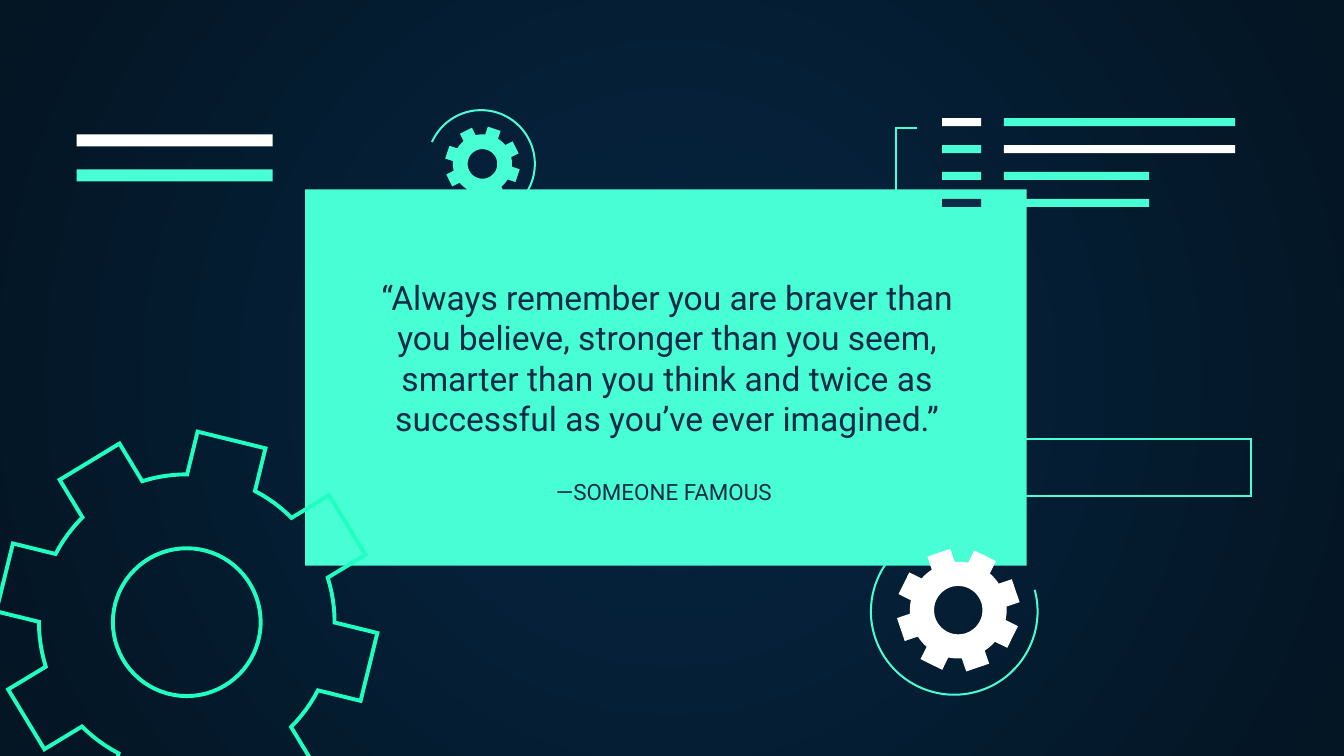
from dataclasses import dataclass
from math import asin, cos, pi, radians, sin

from lxml.etree import SubElement
from pptx import Presentation
from pptx.dml.color import RGBColor
from pptx.enum.shapes import MSO_SHAPE as Preset
from pptx.enum.text import MSO_ANCHOR as Anchor, PP_ALIGN as Align
from pptx.oxml.ns import qn
from pptx.util import Inches, Pt

Point = tuple[float, float]


@dataclass(frozen=True)
class Theme:
    mint: str = "48FFD5"
    green: str = "1EFFC1"
    white: str = "FFFFFF"
    navy: str = "0E2A47"
    glow: str = "052643"
    night: str = "041523"
    font: str = "Roboto"
    quote_size: float = 18
    author_size: float = 12
    thin: float = 1.09
    thick: float = 2.1


@dataclass(frozen=True)
class Bar:
    left: float
    top: float
    width: float
    height: float
    color: str


@dataclass(frozen=True)
class Arc:
    center: Point
    radius: float
    start: float
    end: float


@dataclass(frozen=True)
class Gear:
    center: Point
    tip: float
    root: float
    hole: float
    half_tooth: float
    phase: float
    fill: str | None = None
    line: str | None = None


@dataclass(frozen=True)
class Caption:
    left: float
    top: float
    width: float
    height: float
    words: str
    size: float
    anchor: Anchor


THEME = Theme()
TEETH = 8
CARD = Bar(2.27, 1.41, 5.37, 2.8, THEME.mint)
ARCS = [Arc((3.58, 1.22), 0.4, 204, 457), Arc((7.1, 4.55), 0.62, -15, 233)]
GEARS = [
    Gear((1.39, 4.63), 1.42, 1.1, 0.55, 0.26, 13.8, line=THEME.green),
    Gear((7.13, 4.54), 0.46, 0.36, 0.18, 0.09, 26.3, fill=THEME.white),
    Gear((3.59, 1.22), 0.28, 0.22, 0.11, 0.05, 18.5, fill=THEME.mint),
]
# Marker colour, line colour and line length of each row of the code list
CODE_ROWS = [
    (THEME.white, THEME.mint, 1.72),
    (THEME.mint, THEME.white, 1.72),
    (THEME.mint, THEME.mint, 1.08),
    (THEME.navy, THEME.mint, 1.08),
]
CODE_TOP, CODE_STEP = 0.88, 0.2
HEADING_BARS = [
    Bar(0.57, 1, 1.46, 0.09, THEME.white),
    Bar(0.57, 1.26, 1.46, 0.09, THEME.mint),
]
BRACKET = [(6.83, 1.56), (6.67, 1.56), (6.67, 0.95), (6.82, 0.95)]
FRAME = [(7.2, 3.27), (9.31, 3.27), (9.31, 3.69), (7.2, 3.69)]
CAPTIONS = [
    Caption(3.01, 1.74, 3.86, 2.12, "—SOMEONE FAMOUS", THEME.author_size, Anchor.BOTTOM),
    Caption(2.55, 1.96, 4.83, 1.55,
            "“Always remember you are braver than you believe, stronger than you seem, "
            "smarter than you think and twice as successful as you’ve ever imagined.”",
            THEME.quote_size, Anchor.TOP),
]


def paint(shape, fill: str | None, line: str | None = None, width: float = THEME.thin) -> None:
    shape.shadow.inherit = False
    if fill:
        shape.fill.solid()
        shape.fill.fore_color.rgb = RGBColor.from_string(fill)
    else:
        shape.fill.background()
    if line:
        shape.line.color.rgb = RGBColor.from_string(line)
        shape.line.width = Pt(width)
        SubElement(shape.line._ln, qn("a:miter"), lim="800000")
    else:
        shape.line.fill.background()


def arc_points(center: Point, radius: float, start: float, end: float, steps: int) -> list[Point]:
    """Points from start to end, with angles in radians running clockwise."""
    angles = [start + (end - start) * i / steps for i in range(steps + 1)]
    return [(center[0] + radius * cos(a), center[1] + radius * sin(a)) for a in angles]


def draw_outline(page, contours: list[list[Point]], closed: bool):
    paths = [[(Inches(x), Inches(y)) for x, y in contour] for contour in contours]
    builder = page.shapes.build_freeform(*paths[0][0])
    for index, path in enumerate(paths):
        if index:
            builder.move_to(*path[0])
        builder.add_line_segments(path[1:], close=closed)
    return builder.convert_to_shape()


def draw_bar(page, bar: Bar) -> None:
    box = page.shapes.add_shape(
        Preset.RECTANGLE, Inches(bar.left), Inches(bar.top), Inches(bar.width), Inches(bar.height))
    paint(box, bar.color)


def draw_arc(page, arc: Arc) -> None:
    points = arc_points(arc.center, arc.radius, radians(arc.start), radians(arc.end), 72)
    paint(draw_outline(page, [points], closed=False), None, THEME.mint)


def draw_gear(page, gear: Gear) -> None:
    """Draws parallel-sided teeth joined by root arcs, around a round hole."""
    pitch = 2 * pi / TEETH
    tip_angle = asin(gear.half_tooth / gear.tip)
    root_angle = asin(gear.half_tooth / gear.root)
    rim = []
    for tooth in range(TEETH):
        middle = radians(gear.phase) + tooth * pitch
        rim += arc_points(gear.center, gear.tip, middle - tip_angle, middle + tip_angle, 1)
        rim += arc_points(gear.center, gear.root, middle + root_angle,
                          middle + pitch - root_angle, 6)
    hole = arc_points(gear.center, gear.hole, 2 * pi, 0, 72)
    paint(draw_outline(page, [rim, hole], closed=True), gear.fill, gear.line, THEME.thick)


def draw_caption(page, caption: Caption) -> None:
    box = page.shapes.add_textbox(
        Inches(caption.left), Inches(caption.top), Inches(caption.width), Inches(caption.height))
    frame = box.text_frame
    frame.word_wrap = True
    frame.vertical_anchor = caption.anchor
    frame.margin_left = frame.margin_right = Inches(0.1)
    frame.margin_top = frame.margin_bottom = Inches(0.1)
    para = frame.paragraphs[0]
    para.alignment = Align.CENTER
    span = para.add_run()
    span.text = caption.words
    span.font.name = THEME.font
    span.font.size = Pt(caption.size)
    span.font.color.rgb = RGBColor.from_string(THEME.navy)


def set_background(page) -> None:
    """Radial glow from the middle of the page."""
    fill = page.background.fill
    fill.gradient()
    for stop, color in zip(fill.gradient_stops, (THEME.glow, THEME.night)):
        stop.color.rgb = RGBColor.from_string(color)
    gradient = page._element.find(".//" + qn("a:gradFill"))
    gradient.remove(gradient.find(qn("a:lin")))
    radial = SubElement(gradient, qn("a:path"), {"path": "circle"})
    SubElement(radial, qn("a:fillToRect"), {side: "50000" for side in "ltrb"})


def main() -> None:
    deck = Presentation()
    deck.slide_width = Inches(10)
    deck.slide_height = Inches(10 * 9 / 16)
    page = deck.slides.add_slide(deck.slide_layouts[6])
    set_background(page)
    draw_bar(page, CARD)
    for arc in ARCS:
        draw_arc(page, arc)
    for gear in GEARS:
        draw_gear(page, gear)
    for row, (marker, line, length) in enumerate(CODE_ROWS):
        top = CODE_TOP + row * CODE_STEP
        draw_bar(page, Bar(7.01, top, 0.29, 0.06, marker))
        draw_bar(page, Bar(7.47, top, length, 0.06, line))
    for bar in HEADING_BARS:
        draw_bar(page, bar)
    paint(draw_outline(page, [BRACKET], closed=False), None, THEME.mint)
    paint(draw_outline(page, [FRAME], closed=True), None, THEME.mint)
    for caption in CAPTIONS:
        draw_caption(page, caption)
    deck.save("out.pptx")


if __name__ == "__main__":
    main()
